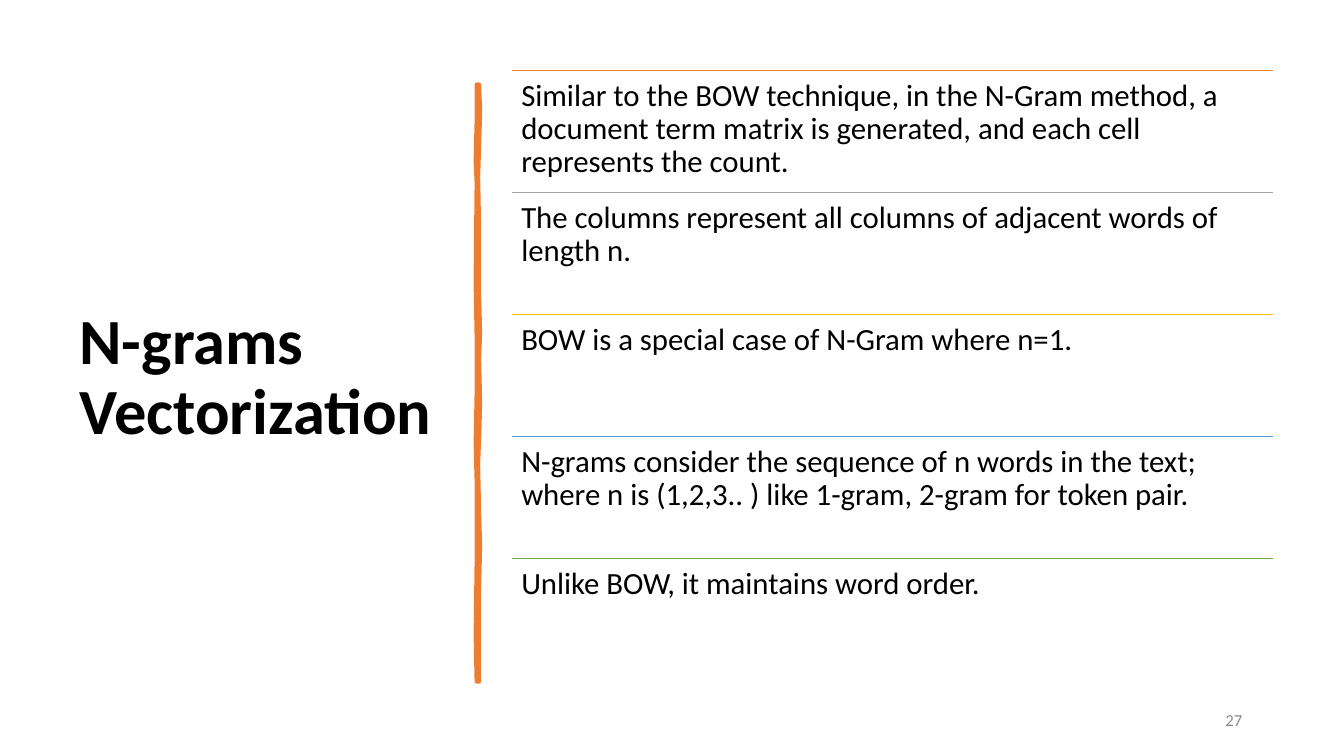
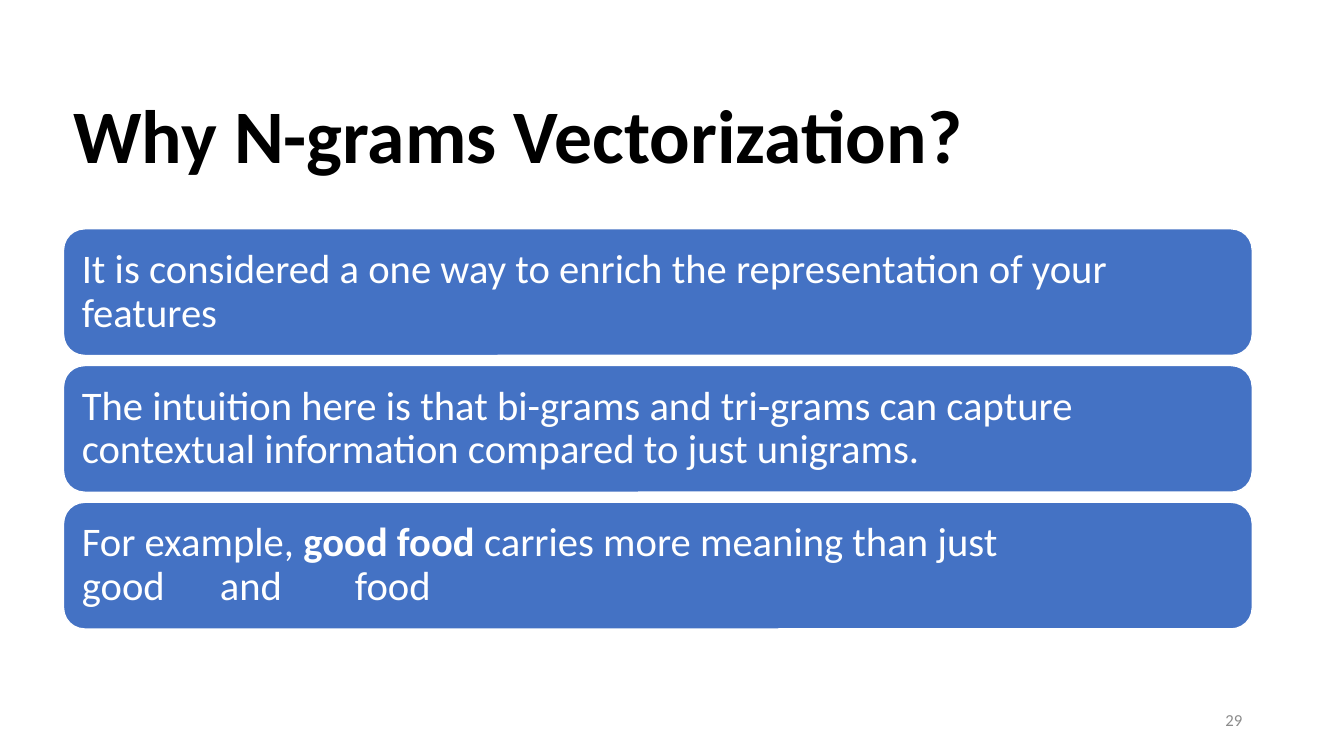
import lxml.etree
import pptx
import pptx.dml.color
import pptx.enum.shapes
import pptx.enum.text
import pptx.oxml.ns
import pptx.util

Inches = pptx.util.Inches
Pt = pptx.util.Pt
Align = pptx.enum.text.PP_ALIGN
Anchor = pptx.enum.text.MSO_ANCHOR

FONT = "Calibri"
COLOURS = {
    "text": "000000",
    "number": "8C8C8C",
    "white": "FFFFFF",
    "orange": "ED7D31",
    "grey": "A5A5A5",
    "gold": "FFC000",
    "sky": "5B9BD5",
    "green": "70AD47",
    "blue": "4472C4",
}

STATEMENTS = [
    ("orange", "Similar to the BOW technique, in the N-Gram method, a document term "
               "matrix is generated, and each cell represents the count."),
    ("grey", "The columns represent all columns of adjacent words of length n."),
    ("gold", "BOW is a special case of N-Gram where n=1."),
    ("sky", "N-grams consider the sequence of n words in the text; where n is "
            "(1,2,3.. ) like 1-gram, 2-gram for token pair."),
    ("green", "Unlike BOW, it maintains word order."),
]

# Each reason is a list of lines, each line a list of (text, bold) runs.
REASONS = [
    [[("It is considered a one way to enrich the representation of your features", False)]],
    [[("The intuition here is that bi-grams and tri-grams can capture contextual "
       "information compared to just unigrams.", False)]],
    [[("For example, ", False), ("good food ", True),
      ("carries more meaning than just", False)],
     [("good\tand\tfood", False)]],
]
REASON_TABS = (1.37, 2.71)

# Edges of the hand-drawn bar as (x, y) in inches.
BAR_RIGHT = [(4.75, 0.84), (4.76, 1.1), (4.75, 1.46), (4.74, 1.75), (4.75, 2.26),
             (4.75, 2.94), (4.76, 3.3), (4.75, 3.56), (4.76, 4), (4.75, 4.36),
             (4.74, 4.6), (4.75, 5.1), (4.76, 5.4), (4.75, 5.84), (4.75, 6.76)]
BAR_LEFT = [(4.73, 6.76), (4.72, 6.3), (4.73, 5.57), (4.73, 4.77), (4.72, 4.4),
            (4.73, 3.9), (4.73, 3.35), (4.72, 2.8), (4.73, 1.81), (4.72, 1.6),
            (4.73, 1.2), (4.73, 0.84)]


def colour(name):
    return pptx.dml.color.RGBColor.from_string(COLOURS[name])


def add_element(parent, tag, **attributes):
    element = lxml.etree.SubElement(parent, pptx.oxml.ns.qn(tag))
    for key, value in attributes.items():
        element.set(key, value)
    return element


def set_frame(frame, anchor, inset=None):
    frame.word_wrap = True
    frame.vertical_anchor = anchor
    if inset is not None:
        frame.margin_left = frame.margin_right = Inches(inset)
        frame.margin_top = frame.margin_bottom = Inches(inset)


def add_span(para, text, size, colour_name, bold=False):
    span = para.add_run()
    span.text = text
    span.font.name = FONT
    span.font.size = Pt(size)
    span.font.bold = bold
    span.font.color.rgb = colour(colour_name)


def add_text(page, area, text, size, colour_name="text", bold=False,
             anchor=Anchor.TOP, align=Align.LEFT, inset=None):
    box = page.shapes.add_textbox(*map(Inches, area))
    set_frame(box.text_frame, anchor, inset)
    para = box.text_frame.paragraphs[0]
    para.alignment = align
    para.line_spacing = 0.9
    add_span(para, text, size, colour_name, bold)


def add_title(page, area, text, size, anchor):
    add_text(page, area, text, size, bold=True, anchor=anchor)


def add_page_number(page, number):
    add_text(page, (9.42, 6.95, 3, 0.4), str(number), 12, "number",
             anchor=Anchor.MIDDLE, align=Align.RIGHT)


def add_rule(page, left, top, width, colour_name):
    rule = page.shapes.add_connector(
        pptx.enum.shapes.MSO_CONNECTOR.STRAIGHT,
        Inches(left), Inches(top), Inches(left + width), Inches(top))
    rule.line.color.rgb = colour(colour_name)
    rule.line.width = Pt(1)
    add_element(rule._element.spPr, "a:effectLst")


def add_brush_bar(page):
    points = [(Inches(x), Inches(y)) for x, y in BAR_RIGHT + BAR_LEFT]
    builder = page.shapes.build_freeform(*points[0])
    builder.add_line_segments(points[1:], close=True)
    bar = builder.convert_to_shape()
    bar.shadow.inherit = False
    bar.fill.solid()
    bar.fill.fore_color.rgb = colour("orange")
    bar.line.color.rgb = colour("orange")
    bar.line.width = Pt(3.25)
    add_element(bar.line._get_or_add_ln(), "a:round")


def add_ruled_list(page, area, statements):
    left, top, width, height = area
    row_height = height / len(statements)
    for index, (colour_name, text) in enumerate(statements):
        row_top = top + index * row_height
        add_rule(page, left, row_top, width, colour_name)
        add_text(page, (left, row_top, width, row_height), text, 22, inset=0.09)


def add_reason(page, area, lines):
    card = page.shapes.add_shape(
        pptx.enum.shapes.MSO_SHAPE.ROUNDED_RECTANGLE, *map(Inches, area))
    card.shadow.inherit = False
    card.fill.solid()
    card.fill.fore_color.rgb = colour("blue")
    card.line.color.rgb = colour("white")
    card.line.width = Pt(1)
    set_frame(card.text_frame, Anchor.MIDDLE, 0.12)
    para = card.text_frame.paragraphs[0]
    para.alignment = Align.LEFT
    para.line_spacing = 0.9
    if len(lines) > 1:
        stops = add_element(para._p.get_or_add_pPr(), "a:tabLst")
        for position in REASON_TABS:
            add_element(stops, "a:tab", pos=str(Inches(position)), algn="l")
    for index, line in enumerate(lines):
        if index:
            para.add_line_break()
        for text, bold in line:
            add_span(para, text, 29, "white", bold)


def add_reason_cards(page, area, reasons, gap):
    left, top, width, height = area
    card_height = (height - gap * (len(reasons) - 1)) / len(reasons)
    for index, lines in enumerate(reasons):
        card_top = top + index * (card_height + gap)
        add_reason(page, (left, card_top, width, card_height), lines)


def build_definition_page(page):
    add_title(page, (0.69, 0.7, 3.74, 6.11), "N-grams Vectorization", 46, Anchor.MIDDLE)
    add_brush_bar(page)
    add_ruled_list(page, (5.08, 0.7, 7.55, 6.05), STATEMENTS)
    add_page_number(page, 27)


def build_reasons_page(page):
    add_title(page, (0.63, 0.26, 12.05, 1.57), "Why N-grams Vectorization?", 54,
              Anchor.BOTTOM)
    add_reason_cards(page, (0.63, 2.27, 11.79, 3.97), REASONS, 0.1)
    add_page_number(page, 29)


def main():
    deck = pptx.Presentation()
    deck.slide_width = Inches(13.33)
    deck.slide_height = Inches(7.5)
    for build_page in (build_definition_page, build_reasons_page):
        build_page(deck.slides.add_slide(deck.slide_layouts[6]))
    deck.save("out.pptx")


if __name__ == "__main__":
    main()
